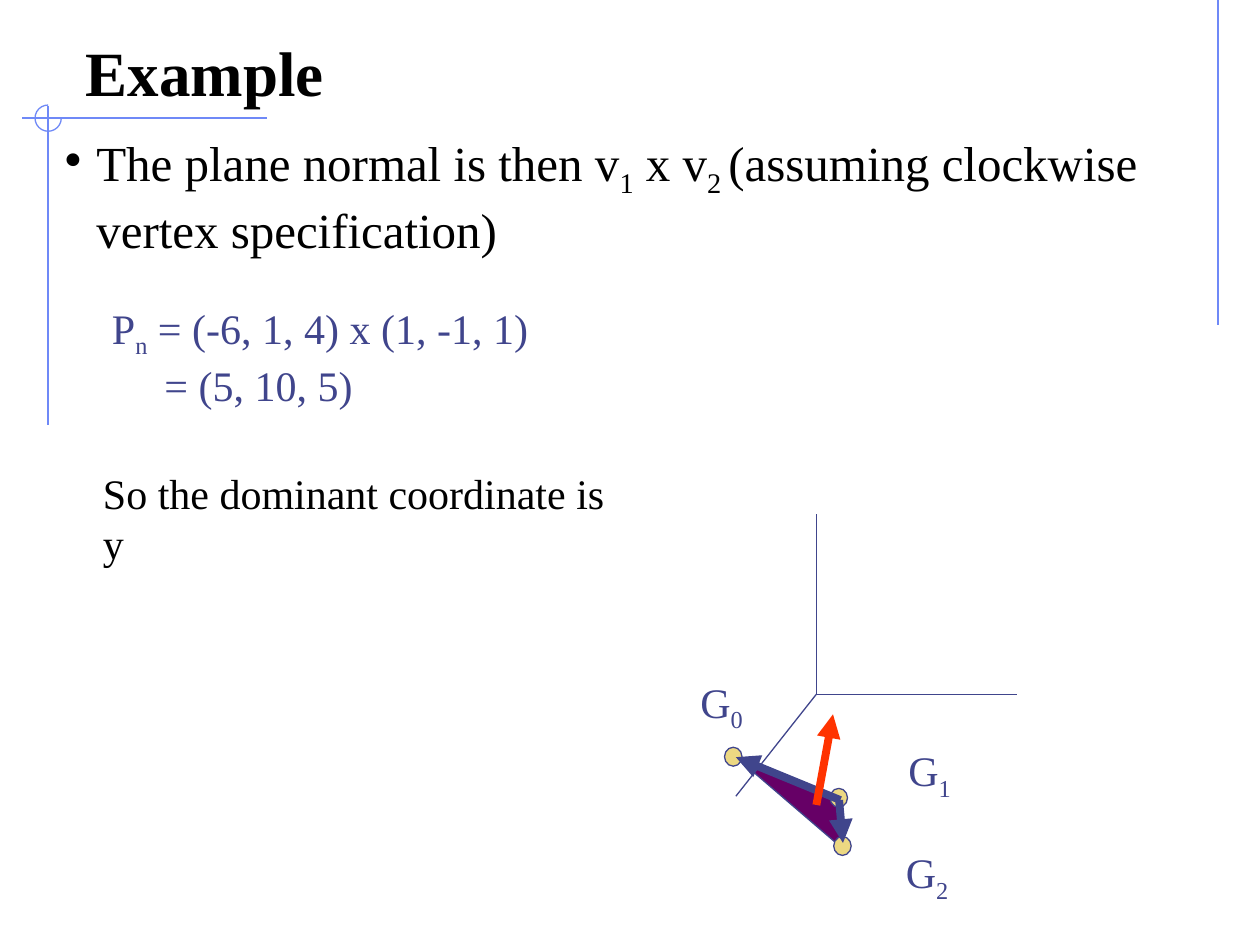
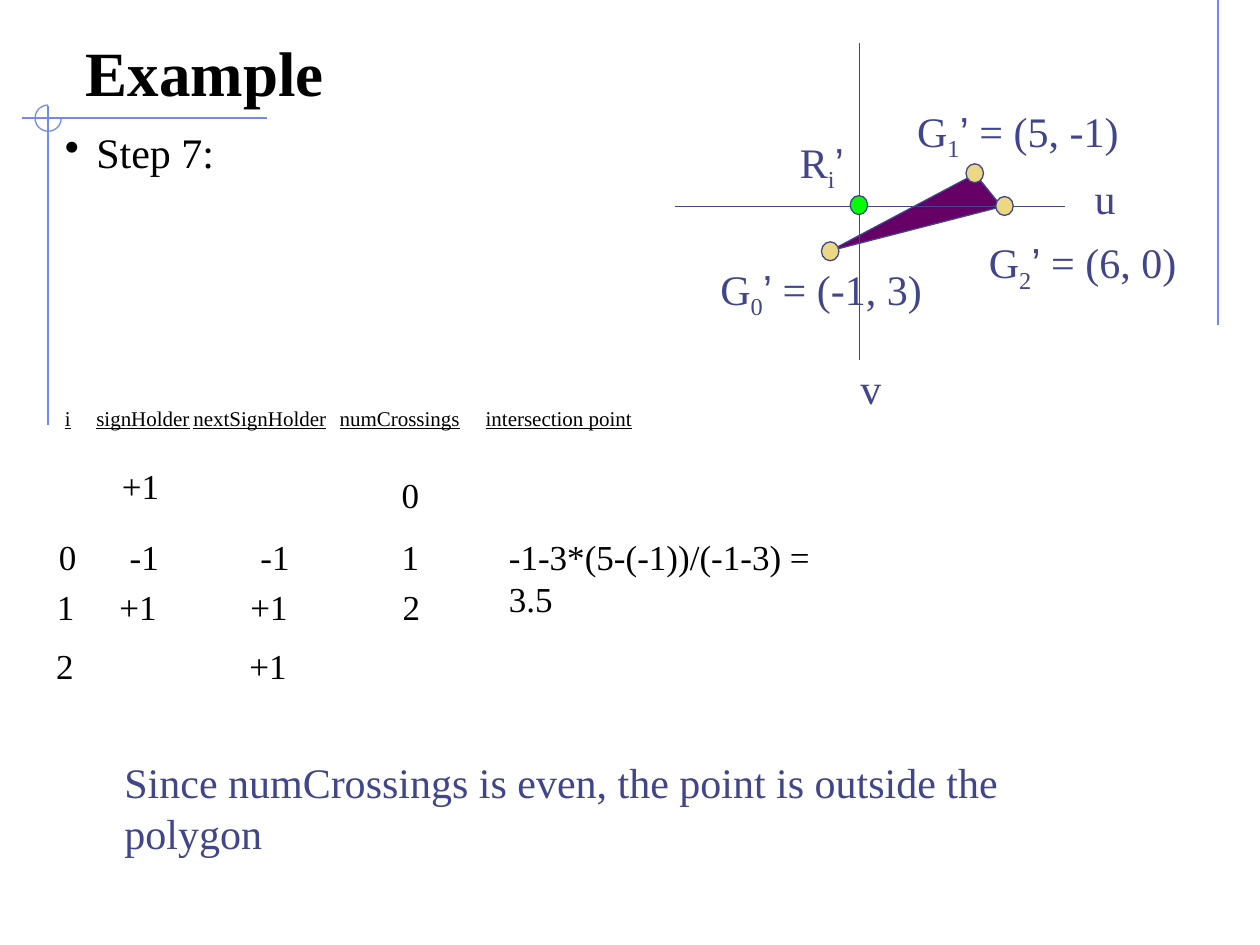
from lxml import etree
from pptx import Presentation
from pptx.dml.color import RGBColor
from pptx.enum.shapes import MSO_CONNECTOR, MSO_SHAPE
from pptx.enum.text import MSO_ANCHOR
from pptx.oxml.ns import qn
from pptx.util import Pt

STRAIGHT = MSO_CONNECTOR.STRAIGHT
ARC = MSO_SHAPE.ARC
OVAL = MSO_SHAPE.OVAL
BOTTOM = MSO_ANCHOR.BOTTOM

BLACK = RGBColor(0x00, 0x00, 0x00)
INK = RGBColor(0x40, 0x45, 0x8C)
FRAME = RGBColor(0x6F, 0x89, 0xF7)
PURPLE = RGBColor(0x66, 0x00, 0x66)
SAND = RGBColor(0xEC, 0xD8, 0x82)
GREEN = RGBColor(0x00, 0xFF, 0x00)
RED = RGBColor(0xFF, 0x33, 0x00)
SERIF = "Times New Roman"


def add_text(slide, box, lines, size, color=BLACK, wrap=False):
    text_box = slide.shapes.add_textbox(*[Pt(value) for value in box])
    frame = text_box.text_frame
    frame.word_wrap = wrap
    for index, runs in enumerate(lines):
        paragraph = frame.add_paragraph() if index else frame.paragraphs[0]
        paragraph.font.size = Pt(size)
        paragraph.font.name = SERIF
        paragraph.font.color.rgb = color
        for text in runs:
            run = paragraph.add_run()
            run.text = text.removeprefix("_")
            if text.startswith("_"):
                run.font._element.set("baseline", "-25000")
            if text == "’":
                run.font.name = "Arial"
    return frame


def add_line(slide, ends, color, width=0.75, arrow=False):
    line = slide.shapes.add_connector(STRAIGHT, *[Pt(value) for value in ends])
    line.line.color.rgb = color
    line.line.width = Pt(width)
    properties = line._element.spPr
    if arrow:
        outline = properties.find(qn("a:ln"))
        etree.SubElement(outline, qn("a:tailEnd"), type="triangle")
    etree.SubElement(properties, qn("a:effectLst"))


presentation = Presentation()
presentation.slide_width = Pt(720)
presentation.slide_height = Pt(540)

frame_lines = [(696, 0, 696, 186), (152.5, 67.5, 12.5, 67.5), (27.5, 60.5, 27.5, 243)]

normal_diagram = {
    "bullet": ["The plane normal is then v", "_1", " x v", "_2 ",
               "(assuming clockwise vertex specification)"],
    "bullet_size": 28,
    "bullet_height": 444,
    "line_spacing": 1.0,
    "triangle": [(419.8, 432), (479.5, 457.2), (480.2, 483.8)],
    "axes": [(466.5, 294, 466.5, 396.7), (466.5, 396.7, 581, 396.7),
             (466.5, 396.7, 420.5, 455)],
    "dots": [(414, 427, SAND), (474.3, 450.5, SAND), (476.4, 478, SAND)],
    "labels": [(393.1, 383, 39.6, ["G", "_0"]),
               (512, 422, 39.6, ["G", "_1"]),
               (510.5, 480.2, 39.6, ["G", "_2"])],
}
projected_diagram = {
    "bullet": ["Step 7:"],
    "bullet_size": 24,
    "bullet_height": 90,
    "line_spacing": 0.9,
    "triangle": [(474.5, 143.3), (557.3, 99.4), (572.4, 118.1)],
    "axes": [(491, 24.5, 491, 206), (385.5, 118, 608.5, 118)],
    "dots": [(469.4, 138.2, SAND), (552, 93.6, SAND), (569, 112.3, SAND),
             (485.8, 111.8, GREEN)],
    "labels": [(404.6, 146.9, 133.2, ["G", "_0", "’", " = (-1, 3)"]),
               (517, 56.5, 133.2, ["G", "_1", "’", " = (5, -1)"]),
               (558, 131.8, 125.3, ["G", "_2", "’", " = (6, 0)"]),
               (450, 74.2, 43.2, ["R", "_i", "’"]),
               (484.6, 203.8, 26.6, ["v"]),
               (618.5, 95, 26.6, ["u"])],
}

slides = []
for diagram in (normal_diagram, projected_diagram):
    slide = presentation.slides.add_slide(presentation.slide_layouts[6])
    slides.append(slide)
    for ends in frame_lines:
        add_line(slide, ends, FRAME)
    corner = slide.shapes.add_shape(ARC, Pt(20), Pt(60), Pt(15), Pt(15))
    corner.adjustments[0] = 0
    corner.adjustments[1] = 162
    corner.fill.background()
    corner.line.color.rgb = FRAME
    corner.line.width = Pt(0.75)
    corner.shadow.inherit = False

    title = add_text(slide, (42, 18, 636, 48), [["Example"]], 36, wrap=True)
    title.vertical_anchor = BOTTOM
    title.paragraphs[0].font.bold = True

    body = add_text(slide, (30, 72, 660, diagram["bullet_height"]), [diagram["bullet"]],
                    diagram["bullet_size"], wrap=True)
    bullet = body.paragraphs[0]
    bullet.line_spacing = diagram["line_spacing"]
    properties = bullet._p.get_or_add_pPr()
    properties.set("marL", str(Pt(18)))
    properties.set("indent", str(-Pt(18)))
    marker = etree.Element(qn("a:buChar"), char="•")
    properties.find(qn("a:defRPr")).addprevious(marker)

    corners = [(Pt(x), Pt(y)) for x, y in diagram["triangle"]]
    builder = slide.shapes.build_freeform(*corners[0], scale=1.0)
    builder.add_line_segments(corners[1:], close=True)
    triangle = builder.convert_to_shape()
    triangle.fill.solid()
    triangle.fill.fore_color.rgb = PURPLE
    triangle.line.color.rgb = INK
    triangle.line.width = Pt(0.75)
    triangle.shadow.inherit = False

    for ends in diagram["axes"]:
        add_line(slide, ends, INK)
    for left, top, color in diagram["dots"]:
        dot = slide.shapes.add_shape(OVAL, Pt(left), Pt(top), Pt(10), Pt(10.8))
        dot.fill.solid()
        dot.fill.fore_color.rgb = color
        dot.line.color.rgb = INK
        dot.line.width = Pt(0.75)
        dot.shadow.inherit = False
    for left, top, width, runs in diagram["labels"]:
        add_text(slide, (left, top, width, 36), [runs], 24, INK)

normal_slide, crossings_slide = slides

product = add_text(normal_slide, (56.9, 169.2, 253.4, 64.8),
                   [["P", "_n", " = (-6, 1, 4) x (1, -1, 1)"], ["= (5, 10, 5)"]], 24, INK)
product.paragraphs[1]._p.get_or_add_pPr().set("marL", str(Pt(30)))
for ends, color in [((480.2, 457.2, 420.5, 432.7), INK),
                    ((479.5, 457.2, 481.7, 481.7), INK),
                    ((466.5, 460, 476, 408.2), RED)]:
    add_line(normal_slide, ends, color, 4.5, True)
add_text(normal_slide, (51.8, 263.5, 302, 64), [["So the dominant coordinate is y"]], 24, wrap=True)

headings = ["i", "signHolder", "nextSignHolder", "numCrossings", "intersection point"]
heading_runs = "|\t|".join(headings).split("|")
header = add_text(crossings_slide, (30, 228, 360, 22), [heading_runs], 12).paragraphs[0]
tabs = etree.Element(qn("a:tabLst"))
for position in (18, 73.5, 157, 240.5):
    etree.SubElement(tabs, qn("a:tab"), pos=str(Pt(position)), algn="l")
header._p.pPr.find(qn("a:defRPr")).addprevious(tabs)
for run in header.runs:
    run.font.underline = run.text in headings

crossing_rows = [
    (262, [(62.6, "+1")]),
    (267, [(222.5, "0")]),
    (302.4, [(26.6, "0"), (67, "-1"), (141.8, "-1"), (222.5, "1")]),
    (331.2, [(25.5, "1"), (61.2, "+1"), (136, "+1"), (223, "2")]),
    (365, [(25, "2"), (135.5, "+1")]),
]
for top, cells in crossing_rows:
    for left, text in cells:
        width = 24.5 if len(text) == 1 else 36 if "+" in text else 31
        add_text(crossings_slide, (left, top, width, 31), [[text]], 20)
add_text(crossings_slide, (283.7, 302.4, 206, 55), [["-1-3*(5-(-1))/(-1-3) = 3.5"]], 20, wrap=True)
add_text(crossings_slide, (64, 429, 580, 64),
         [["Since numCrossings is even, the point is outside the polygon"]], 24, INK, True)

presentation.save("out.pptx")
